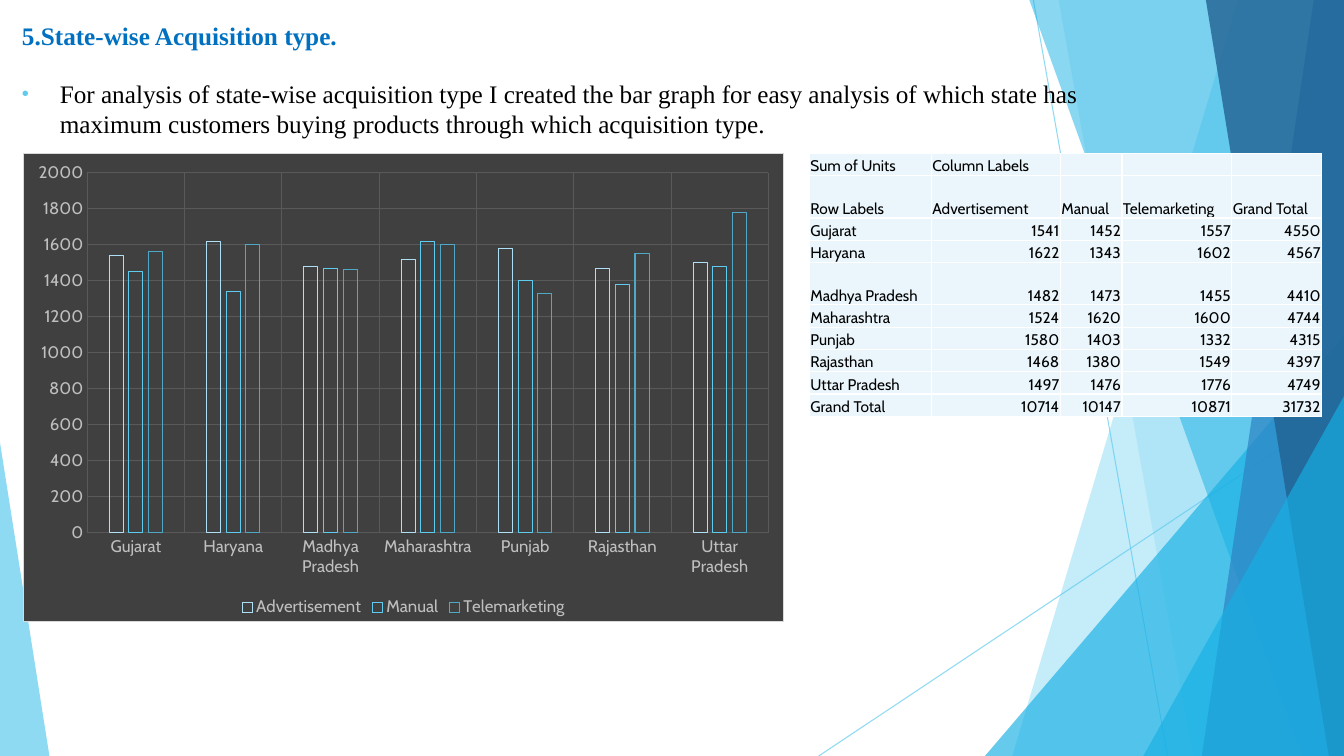
import pptx
import pptx.chart.data
import pptx.dml.color
import pptx.enum.chart
import pptx.enum.shapes
import pptx.enum.text
import pptx.oxml
import pptx.oxml.ns
import pptx.util
from lxml import etree

WIDTH = pptx.util.Inches(13.33)
HEIGHT = pptx.util.Inches(7.5)
SKY, CYAN = "5FCBEF", "17B0E4"
CHARCOAL, GRID_GREY, LABEL_GREY = "404040", "595959", "BFBFBF"

ACQUISITION_TYPES = ["Advertisement", "Manual", "Telemarketing"]
UNITS = {
    "Gujarat": [1541, 1452, 1557],
    "Haryana": [1622, 1343, 1602],
    "Madhya Pradesh": [1482, 1473, 1455],
    "Maharashtra": [1524, 1620, 1600],
    "Punjab": [1580, 1403, 1332],
    "Rajasthan": [1468, 1380, 1549],
    "Uttar Pradesh": [1497, 1476, 1776],
}


def across(percent):
    return round(WIDTH * percent / 100)


def down(percent):
    return round(HEIGHT * percent / 100)


def area(left, top, width, height):
    return across(left), down(top), across(width), down(height)


def colour(value):
    return pptx.dml.color.RGBColor.from_string(value)


def drawing_element(xml):
    """Parse one element of the DrawingML namespace, written with prefix a."""
    tag, rest = xml[1:].split(" ", 1)
    return pptx.oxml.parse_xml(f"<{tag} {pptx.oxml.ns.nsdecls('a')} {rest}")


def set_opacity(shape, percent):
    for tint in shape._element.spPr.iter(pptx.oxml.ns.qn("a:srgbClr")):
        tint.append(drawing_element(f'<a:alpha val="{percent * 1000}"/>'))


def paint(shape, fill, opacity):
    shape.shadow.inherit = False
    shape.fill.solid()
    shape.fill.fore_color.rgb = colour(fill)
    shape.line.fill.background()
    set_opacity(shape, opacity)


def set_font(font, size, tint, name="Cabin", bold=False):
    font.size = pptx.util.Pt(size)
    font.name = name
    font.bold = bold
    font.color.rgb = colour(tint)


def set_line(line, tint, width=0.75):
    line.color.rgb = colour(tint)
    line.width = pptx.util.Pt(width)


def add_ray(page, x1, y1, x2, y2):
    ray = page.shapes.add_connector(
        pptx.enum.shapes.MSO_CONNECTOR.STRAIGHT,
        across(x1), down(y1), across(x2), down(y2))
    set_line(ray.line, SKY)
    set_opacity(ray, 70)
    etree.SubElement(ray._element.spPr, pptx.oxml.ns.qn("a:effectLst"))


def add_panel(page, top_x, bottom_x, fill, opacity):
    """Full-height panel from a slanted left edge to the slide's right edge."""
    builder = page.shapes.build_freeform(across(top_x), 0)
    builder.add_line_segments(
        [(WIDTH, 0), (WIDTH, HEIGHT), (across(bottom_x), HEIGHT)], close=True)
    paint(builder.convert_to_shape(), fill, opacity)


def add_corner(page, left, top, width, apex, fill, opacity):
    """Triangle standing on the slide's bottom edge."""
    corner = page.shapes.add_shape(
        pptx.enum.shapes.MSO_SHAPE.ISOSCELES_TRIANGLE,
        *area(left, top, width, 100 - top))
    corner.adjustments[0] = apex
    paint(corner, fill, opacity)


def add_backdrop(page):
    add_ray(page, 76.89, 0, 86.87, 100)
    add_ray(page, 100, 53.73, 60.92, 100)
    add_panel(page, 92.12, 75.32, SKY, 36)
    add_panel(page, 78.77, 88.75, SKY, 20)
    add_corner(page, 73.29, 44.4, 26.71, 1, CYAN, 66)
    add_panel(page, 76.59, 96.85, CYAN, 50)
    add_panel(page, 97.75, 89.42, "2E83C3", 70)
    add_panel(page, 89.72, 98.87, "226292", 80)
    add_corner(page, 85.07, 52.4, 14.93, 1, CYAN, 66)
    add_corner(page, 0, 58.53, 3.68, 0, SKY, 70)


def add_bullet(para):
    properties = para._p.get_or_add_pPr()
    indent = pptx.util.Pt(27)
    properties.set("marL", str(indent))
    properties.set("indent", str(-indent))
    for xml in (f'<a:buClr ><a:srgbClr val="{SKY}"/></a:buClr>',
                '<a:buSzPct val="80000"/>', '<a:buFont typeface="Arial"/>',
                '<a:buChar char="•"/>'):
        properties.append(drawing_element(xml))


def add_body(page, heading, remark):
    box = page.shapes.add_textbox(*area(0.9, 2, 85.15, 96.27))
    box.text_frame.word_wrap = True
    box.text_frame.text = f"{heading}\n{remark}"
    title, point = box.text_frame.paragraphs
    add_bullet(point)
    title.space_after = point.space_before = pptx.util.Pt(10)
    set_font(title.runs[0].font, 18, "0070C0", "Times New Roman", True)
    set_font(point.runs[0].font, 18, "000000", "Times New Roman")


def fill_cell(cell, value):
    cell.text = str(value)
    cell.vertical_anchor = pptx.enum.text.MSO_ANCHOR.BOTTOM
    cell.margin_left = cell.margin_top = cell.margin_right = pptx.util.Inches(0.01)
    cell.margin_bottom = 0
    para = cell.text_frame.paragraphs[0]
    if isinstance(value, int):
        para.alignment = pptx.enum.text.PP_ALIGN.RIGHT
    for span in para.runs:
        set_font(span.font, 11, "000000")
    if not para.runs:
        para._p.get_or_add_endParaRPr().set("sz", "1100")
    properties = cell._tc.get_or_add_tcPr()
    for side in "LRTB":
        properties.append(drawing_element(
            f'<a:ln{side} w="12700"><a:solidFill><a:srgbClr val="FFFFFF"/>'
            f"</a:solidFill></a:ln{side}>"))
    cell.fill.solid()
    cell.fill.fore_color.rgb = colour("EAF6FC")


def add_units_table(page):
    totals = [sum(column) for column in zip(*UNITS.values())]
    rows = [["Sum of Units", "Column Labels", "", "", ""],
            ["Row Labels", *ACQUISITION_TYPES, "Grand Total"]]
    for label, values in [*UNITS.items(), ("Grand Total", totals)]:
        rows.append([label, *values, sum(values)])
    widths = [9.08, 9.6, 4.58, 8.18, 6.68]
    heights = [5.6 if row[0] in ("Row Labels", "Madhya Pradesh") else 2.95
               for row in rows]
    table = page.shapes.add_table(
        len(rows), len(widths),
        *area(60.22, 20.3, sum(widths), sum(heights))).table
    table.first_row = table.horz_banding = False
    for column, width in zip(table.columns, widths):
        column.width = across(width)
    for row, height, values in zip(table.rows, heights, rows):
        row.height = down(height)
        for cell, value in zip(row.cells, values):
            fill_cell(cell, value)


def fill_chart_area(chart, fill, border):
    chart._chartSpace.find(pptx.oxml.ns.qn("c:chart")).addnext(pptx.oxml.parse_xml(
        f'<c:spPr {pptx.oxml.ns.nsdecls("c", "a")}>'
        f'<a:solidFill><a:srgbClr val="{fill}"/></a:solidFill>'
        f'<a:ln w="9525"><a:solidFill><a:srgbClr val="{border}"/></a:solidFill>'
        "</a:ln></c:spPr>"))


def add_units_chart(page):
    data = pptx.chart.data.CategoryChartData()
    data.categories = list(UNITS)
    for name, values in zip(ACQUISITION_TYPES, zip(*UNITS.values())):
        data.add_series(name, [round(value, -1) for value in values])
    chart = page.shapes.add_chart(
        pptx.enum.chart.XL_CHART_TYPE.COLUMN_CLUSTERED,
        *area(1.7, 20.23, 56.64, 62), data).chart
    chart.has_title = False
    set_font(chart.font, 12, LABEL_GREY)
    fill_chart_area(chart, CHARCOAL, "D9D9D9")
    chart.has_legend = True
    chart.legend.position = pptx.enum.chart.XL_LEGEND_POSITION.BOTTOM
    chart.legend.include_in_layout = False
    set_font(chart.legend.font, 12, LABEL_GREY)
    for axis in (chart.category_axis, chart.value_axis):
        axis.has_major_gridlines = True
        axis.major_tick_mark = pptx.enum.chart.XL_TICK_MARK.NONE
        set_line(axis.major_gridlines.format.line, GRID_GREY)
        set_line(axis.format.line, GRID_GREY)
        set_font(axis.tick_labels.font, 12, LABEL_GREY)
    chart.value_axis.minimum_scale = 0
    chart.value_axis.maximum_scale = 2000
    chart.value_axis.major_unit = 200
    plot = chart.plots[0]
    plot.vary_by_categories = False
    plot.gap_width, plot.overlap = 315, -40
    for series, outline in zip(plot.series, ("AEDFF5", SKY, "4FA8C6")):
        series.format.fill.background()
        set_line(series.format.line, outline)


def main():
    deck = pptx.Presentation()
    deck.slide_width, deck.slide_height = WIDTH, HEIGHT
    page = deck.slides.add_slide(deck.slide_layouts[6])
    add_backdrop(page)
    add_body(page, "5.State-wise Acquisition type.",
             "For analysis of state-wise acquisition type I created the bar graph "
             "for easy analysis of which state has maximum customers buying "
             "products through which acquisition type.")
    add_units_table(page)
    add_units_chart(page)
    deck.save("out.pptx")


if __name__ == "__main__":
    main()
